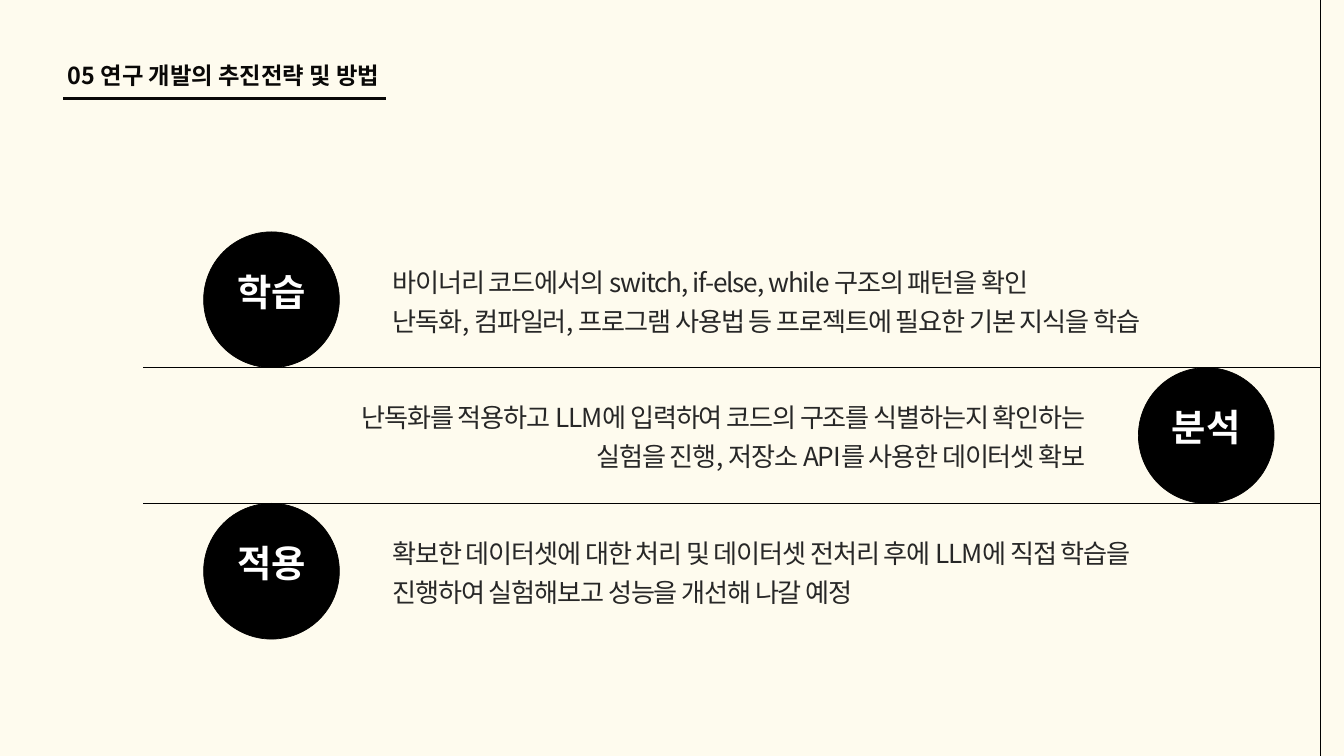
"""Build the research strategy slide: three alternating stages with circles and descriptions."""
from lxml import etree
from pptx import Presentation
from pptx.dml.color import RGBColor
from pptx.enum.shapes import MSO_CONNECTOR, MSO_SHAPE
from pptx.enum.text import MSO_ANCHOR, MSO_AUTO_SIZE, PP_ALIGN
from pptx.oxml.ns import qn
from pptx.util import Inches, Pt

LEFT, CENTER, RIGHT = PP_ALIGN.LEFT, PP_ALIGN.CENTER, PP_ALIGN.RIGHT
TOP, MIDDLE = MSO_ANCHOR.TOP, MSO_ANCHOR.MIDDLE
STRAIGHT, OVAL = MSO_CONNECTOR.STRAIGHT, MSO_SHAPE.OVAL
NO_AUTOFIT = MSO_AUTO_SIZE.NONE

HEADING = "05 연구 개발의 추진전략 및 방법"
STAGES = [
    ("학습", LEFT, ["바이너리 코드에서의 switch, if-else, while 구조의 패턴을 확인",
                  "난독화, 컴파일러, 프로그램 사용법 등 프로젝트에 필요한 기본 지식을 학습"]),
    ("분석", RIGHT, ["난독화를 적용하고 LLM에 입력하여 코드의 구조를 식별하는지 확인하는",
                   "실험을 진행, 저장소 API를 사용한 데이터셋 확보"]),
    ("적용", LEFT, ["확보한 데이터셋에 대한 처리 및 데이터셋 전처리 후에 LLM에 직접 학습을 "
                  "진행하여 실험해보고 성능을 개선해 나갈 예정"]),
]

THEME = {
    "background": "FEFBEE",
    "rule": "000000",
    "heading": {"font": "Noto Sans CJK SC", "size": 25, "leading": 35, "color": "090807", "bold": True},
    "label": {"font": "League Spartan", "size": 40, "leading": 50.4, "color": "FFFFFF", "bold": True},
    "body": {"font": "Noto Sans CJK KR", "size": 28, "leading": 42, "color": "272727", "bold": False,
             "tracking": -120},
}

SLIDE_W, SLIDE_H = 20, 11.25
MARGIN_RULE_X, STAGE_RULE_X = 19.65, 2.13
FIRST_STAGE_Y, DIAMETER = 3.45, 2.02
CIRCLE_X = {LEFT: 3.03, RIGHT: 16.94}
BODY_X = {LEFT: 5.84, RIGHT: 4.43}
BODY_W, BODY_H, BODY_OFFSET = 11.72, 1.13, 0.39
LABEL_LIFT = 0.29


def add_rule(slide, x1, y1, x2, y2, color=THEME["rule"], width=0.75):
    rule = slide.shapes.add_connector(STRAIGHT, Inches(x1), Inches(y1), Inches(x2), Inches(y2))
    rule.line.color.rgb = RGBColor.from_string(color)
    rule.line.width = Pt(width)
    etree.SubElement(rule._element.spPr, qn("a:effectLst"))


def write(shape, lines, style, align, anchor=TOP, bottom=0):
    frame = shape.text_frame
    frame.word_wrap = True
    frame.auto_size = NO_AUTOFIT
    frame.vertical_anchor = anchor
    frame.margin_left = frame.margin_right = frame.margin_top = 0
    frame.margin_bottom = Inches(bottom)
    for index, line in enumerate(lines):
        paragraph = frame.add_paragraph() if index else frame.paragraphs[0]
        paragraph.alignment = align
        paragraph.line_spacing = Pt(style["leading"])
        paragraph.space_before = Pt(0)
        run = paragraph.add_run()
        run.text = line
        run.font.name = style["font"]
        run.font.size = Pt(style["size"])
        run.font.bold = style["bold"]
        run.font.color.rgb = RGBColor.from_string(style["color"])
        properties = run._r.get_or_add_rPr()
        properties.set("spc", str(style.get("tracking", 0)))
        etree.SubElement(properties, qn("a:ea"), typeface=style["font"])


def add_heading(slide):
    heading = slide.shapes.title
    heading.left, heading.top = Inches(1.01), Inches(0.84)
    heading.width, heading.height = Inches(4.8), Inches(0.46)
    write(heading, [HEADING], THEME["heading"], LEFT)
    add_rule(slide, 0.94, 1.47, 5.74, 1.47, THEME["heading"]["color"], 3)


def add_stage(slide, y, label, side, lines):
    circle = slide.shapes.add_shape(OVAL, Inches(CIRCLE_X[side]), Inches(y), Inches(DIAMETER), Inches(DIAMETER))
    circle.shadow.inherit = False
    circle.fill.solid()
    circle.fill.fore_color.rgb = RGBColor.from_string(THEME["rule"])
    circle.line.color.rgb = RGBColor.from_string(THEME["rule"])
    circle.line.width = Pt(0.75)
    write(circle, [label], THEME["label"], CENTER, MIDDLE, LABEL_LIFT)
    description = slide.shapes.add_textbox(
        Inches(BODY_X[side]), Inches(y + BODY_OFFSET), Inches(BODY_W), Inches(BODY_H))
    write(description, lines, THEME["body"], side)


def main():
    deck = Presentation()
    deck.slide_width, deck.slide_height = Inches(SLIDE_W), Inches(SLIDE_H)
    slide = deck.slides.add_slide(deck.slide_layouts[5])
    slide.background.fill.solid()
    slide.background.fill.fore_color.rgb = RGBColor.from_string(THEME["background"])

    add_heading(slide)
    add_rule(slide, MARGIN_RULE_X, SLIDE_H, MARGIN_RULE_X, 0)
    for index, (label, side, lines) in enumerate(STAGES):
        y = FIRST_STAGE_Y + index * DIAMETER
        if index:
            add_rule(slide, STAGE_RULE_X, y, MARGIN_RULE_X, y)
        add_stage(slide, y, label, side, lines)
    deck.save("out.pptx")


if __name__ == "__main__":
    main()
